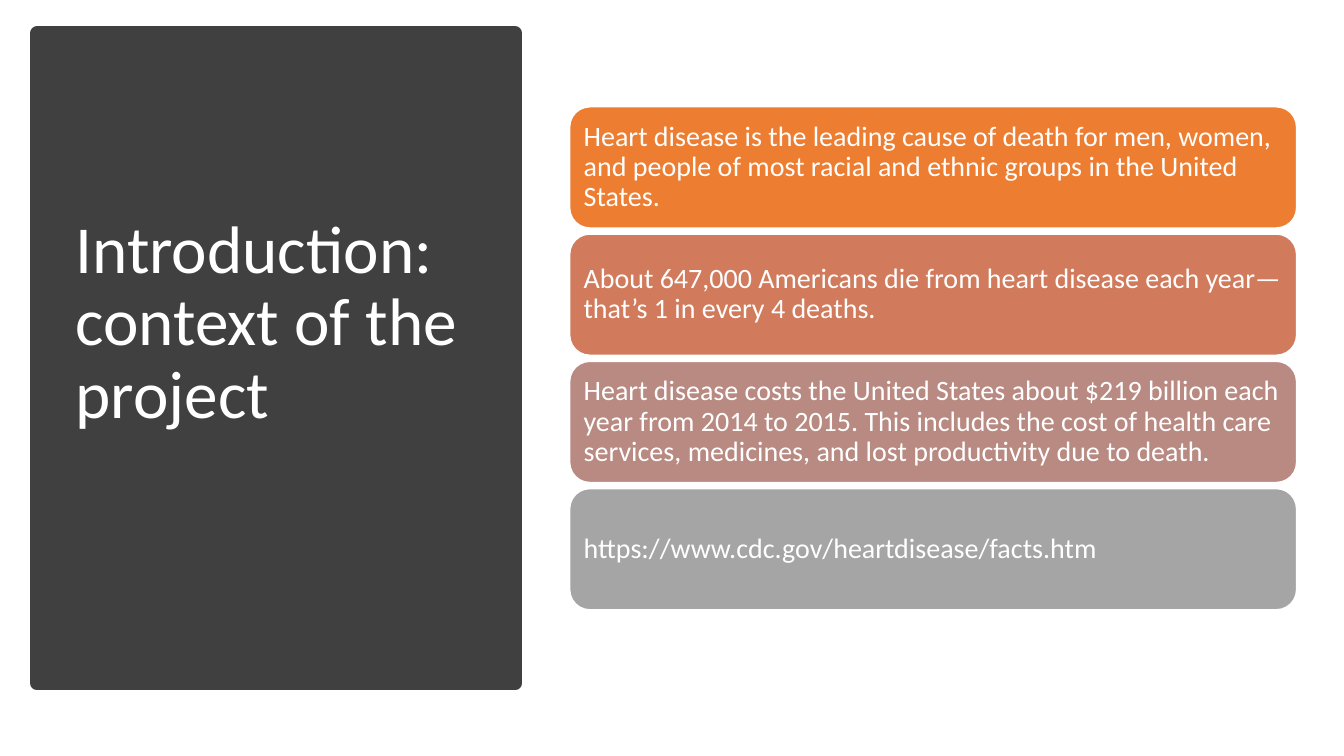
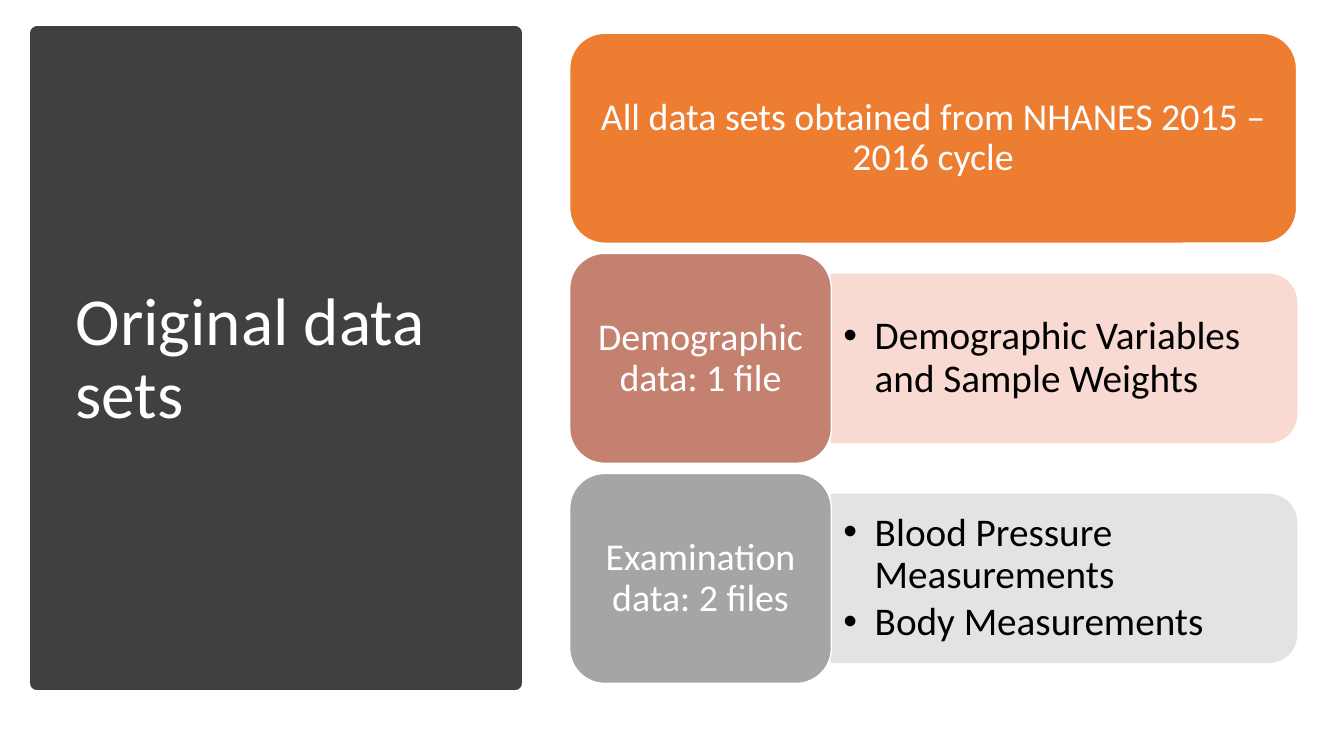
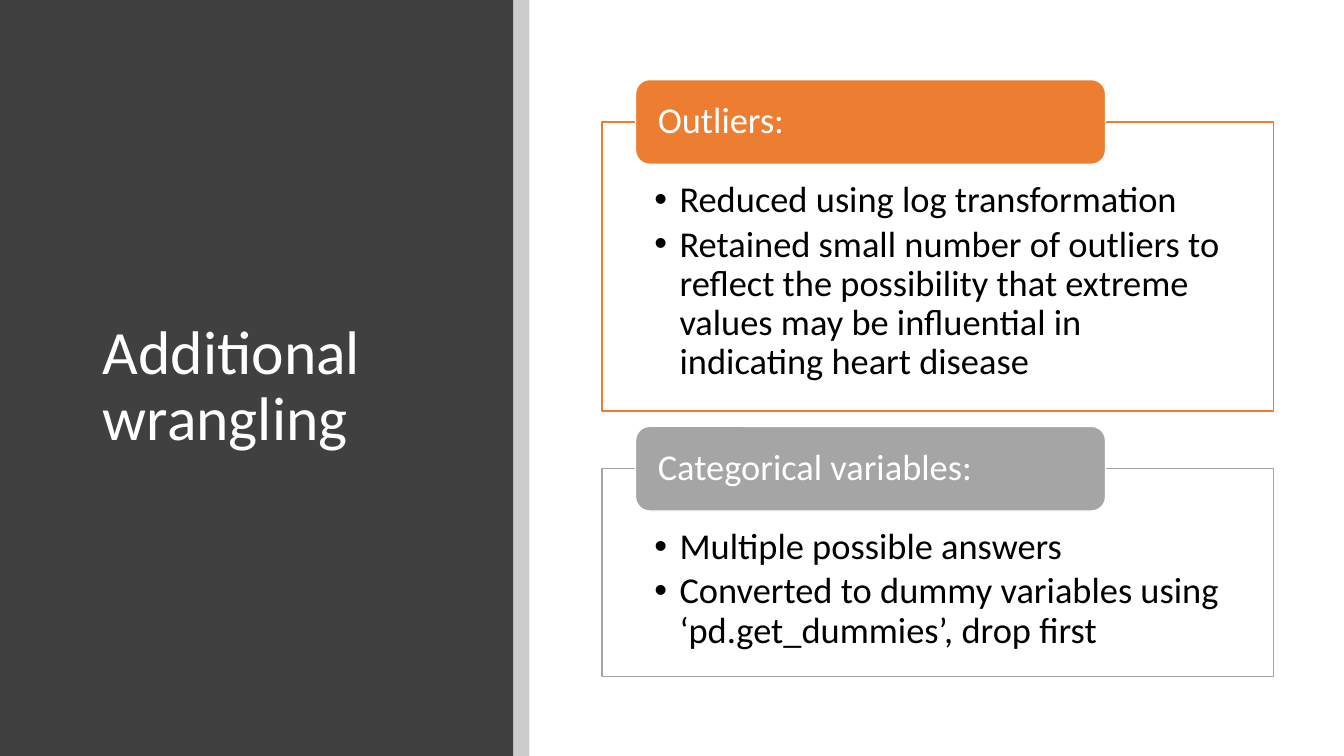
from collections import namedtuple

from lxml import etree
from pptx import Presentation
from pptx import util as u
from pptx.dml.color import RGBColor
from pptx.enum import shapes, text
from pptx.oxml import ns

Box = namedtuple("Box", "left top width height")

FONT = "Calibri"
CHARCOAL = RGBColor(0x40, 0x40, 0x40)
WHITE = RGBColor(0xFF, 0xFF, 0xFF)
BLACK = RGBColor(0x00, 0x00, 0x00)
ORANGE = RGBColor(0xED, 0x7D, 0x31)
TERRACOTTA = RGBColor(0xD1, 0x7B, 0x5C)
DUSTY_ROSE = RGBColor(0xB9, 0x8A, 0x82)
CLAY = RGBColor(0xC4, 0x81, 0x70)
BLUSH = RGBColor(0xF8, 0xD7, 0xCE)
GREY = RGBColor(0xA5, 0xA5, 0xA5)
PALE_GREY = RGBColor(0xE1, 0xE1, 0xE1)

SLIDE_W, SLIDE_H = 13.33, 7.5
SIDE_PANEL = Box(0.37, 0.33, 4.74, 6.45)
SIDE_TITLE = Box(0.65, 0.7, 4.16, 5.75)
RIGHT = text.PP_ALIGN.LEFT
KIND = shapes.MSO_SHAPE


def inches(box):
    return [u.Inches(length) for length in box]


def rows_of(box, count, gap):
    """Split a box into equal rows."""
    height = (box.height - gap * (count - 1)) / count
    return [Box(box.left, box.top + i * (height + gap), box.width, height)
            for i in range(count)]


def add_block(slide, kind, box, fill, line=None, line_width=1, alpha=None):
    block = slide.shapes.add_shape(kind, *inches(box))
    block.shadow.inherit = False
    block.fill.solid()
    block.fill.fore_color.rgb = fill
    if line is None:
        block.line.fill.background()
    else:
        block.line.color.rgb = line
        block.line.width = u.Pt(line_width)
    if alpha is not None:
        for colour in block.element.spPr.iter(ns.qn("a:srgbClr")):
            etree.SubElement(colour, ns.qn("a:alpha"), val=str(alpha * 1000))
    return block


def add_bullet(paragraph, indent):
    props = paragraph._p.get_or_add_pPr()
    props.set("marL", str(u.Inches(indent)))
    props.set("indent", str(-u.Inches(indent)))
    etree.SubElement(props, ns.qn("a:buFont"), typeface="Arial")
    etree.SubElement(props, ns.qn("a:buChar"), char="•")


def write(shape, lines, size, colour=WHITE, align=text.PP_ALIGN.LEFT,
          anchor=text.MSO_ANCHOR.MIDDLE, insets=(0.1, 0.05, 0.1, 0.05),
          bullet_indent=None):
    frame = shape.text_frame
    frame.word_wrap = True
    frame.auto_size = text.MSO_AUTO_SIZE.NONE
    frame.vertical_anchor = anchor
    (frame.margin_left, frame.margin_top,
     frame.margin_right, frame.margin_bottom) = inches(insets)
    for i, line in enumerate(lines):
        paragraph = frame.add_paragraph() if i else frame.paragraphs[0]
        if bullet_indent:
            add_bullet(paragraph, bullet_indent)
        paragraph.alignment = align
        paragraph.line_spacing = 0.9
        if i:
            paragraph.space_before = u.Pt(3.5)
        run = paragraph.add_run()
        run.text = line
        run.font.name = FONT
        run.font.size = u.Pt(size)
        run.font.color.rgb = colour


def add_titled_slide(deck, title, title_box, panel_box, size, border=None):
    """Start a slide with its title on a dark panel at the left."""
    slide = deck.slides.add_slide(deck.slide_layouts[5])
    heading = slide.shapes.title
    panel = add_block(slide, KIND.RECTANGLE, panel_box, CHARCOAL, border, 10)
    heading.element.addprevious(panel.element)
    heading.left, heading.top, heading.width, heading.height = inches(title_box)
    write(heading, [title], size)
    return slide


def add_fact_stack(slide, box, facts):
    for row, (fact, fill) in zip(rows_of(box, len(facts), 0.06), facts):
        bar = add_block(slide, KIND.ROUNDED_RECTANGLE, row, fill, WHITE)
        write(bar, [fact], 20, insets=(0.08,) * 4)


def add_label(slide, box, label, fill):
    tile = add_block(slide, KIND.ROUNDED_RECTANGLE, box, fill, WHITE)
    write(tile, [label], 27, align=text.PP_ALIGN.CENTER,
          insets=(0.11, 0.06, 0.11, 0.06))


def add_file_row(slide, row, label, files, fill, tint):
    """Label tile at the left, with its files on a tab to the right."""
    label_width = row.width * 0.36
    tab = Box(row.left + label_width, row.top + row.height * 0.1,
              row.width - label_width, row.height * 0.8)
    # The tab stands upright before its quarter turn about the centre.
    upright = Box(tab.left + (tab.width - tab.height) / 2,
                  tab.top + (tab.height - tab.width) / 2,
                  tab.height, tab.width)
    add_block(slide, KIND.ROUND_2_SAME_RECTANGLE, upright, tint, tint,
              alpha=90).rotation = 90
    names = slide.shapes.add_textbox(
        *inches(tab._replace(width=tab.width - 0.08)))
    write(names, files, 28, BLACK, insets=(0.12, 0.06, 0.12, 0.06),
          bullet_indent=0.31)
    add_label(slide, row._replace(width=label_width), label, fill)


def add_step_card(slide, box, header, points, accent):
    """Outlined card with a header tab across its top edge."""
    card = add_block(slide, KIND.RECTANGLE, box, WHITE, accent)
    write(card, points, 26, BLACK, anchor=text.MSO_ANCHOR.TOP,
          insets=(0.52, 0.59, 0.52, 0.2), bullet_indent=0.25)
    tab = Box(box.left + box.width * 0.05, box.top - 0.42,
              box.width * 0.7, 0.84)
    header_tab = add_block(slide, KIND.ROUNDED_RECTANGLE, tab, accent, WHITE)
    write(header_tab, [header], 26, insets=(0.18, 0, 0.18, 0))


def build_introduction(deck):
    raised_title = SIDE_TITLE._replace(height=SIDE_TITLE.height - 0.72)
    slide = add_titled_slide(deck, "Introduction: context of the project",
                             raised_title, SIDE_PANEL, 48, CHARCOAL)
    add_fact_stack(slide, Box(5.65, 1.06, 7.21, 4.99), [
        ("Heart disease is the leading cause of death for men, women, and "
         "people of most racial and ethnic groups in the United States.",
         ORANGE),
        ("About 647,000 Americans die from heart disease each year—that’s "
         "1 in every 4 deaths.", TERRACOTTA),
        ("Heart disease costs the United States about $219 billion each year "
         "from 2014 to 2015. This includes the cost of health care services, "
         "medicines, and lost productivity due to death.", DUSTY_ROSE),
        ("https://www.cdc.gov/heartdisease/facts.htm", GREY),
    ])


def build_data_sets(deck):
    slide = add_titled_slide(deck, "Original data sets", SIDE_TITLE,
                             SIDE_PANEL, 48, CHARCOAL)
    cycle, demographic, examination = rows_of(
        Box(5.65, 0.33, 7.21, 6.45), 3, 0.1)
    add_label(slide, cycle,
              "All data sets obtained from NHANES 2015 – 2016 cycle", ORANGE)
    add_file_row(slide, demographic, "Demographic data: 1 file",
                 ["Demographic Variables and Sample Weights"], CLAY, BLUSH)
    add_file_row(slide, examination, "Examination data: 2 files",
                 ["Blood Pressure Measurements", "Body Measurements"],
                 GREY, PALE_GREY)


def build_wrangling(deck):
    panel = Box(0, 0, 5.09, SLIDE_H)
    slide = add_titled_slide(deck, "Additional wrangling",
                             Box(0.92, 0.89, 3.65, 5.91), panel, 44)
    add_block(slide, KIND.RECTANGLE, Box(panel.width, 0, 0.16, SLIDE_H),
              BLACK, alpha=20)
    add_step_card(slide, Box(5.97, 1.21, 6.66, 2.87), "Outliers:", [
        "Reduced using log transformation",
        "Retained small number of outliers to reflect the possibility that "
        "extreme values may be influential in indicating heart disease",
    ], ORANGE)
    add_step_card(slide, Box(5.97, 4.65, 6.66, 2.06), "Categorical variables:", [
        "Multiple possible answers",
        "Converted to dummy variables using ‘pd.get_dummies’, drop first",
    ], GREY)


def main():
    deck = Presentation()
    deck.slide_width, deck.slide_height = inches((SLIDE_W, SLIDE_H))
    build_introduction(deck)
    build_data_sets(deck)
    build_wrangling(deck)
    deck.save("out.pptx")


if __name__ == "__main__":
    main()
